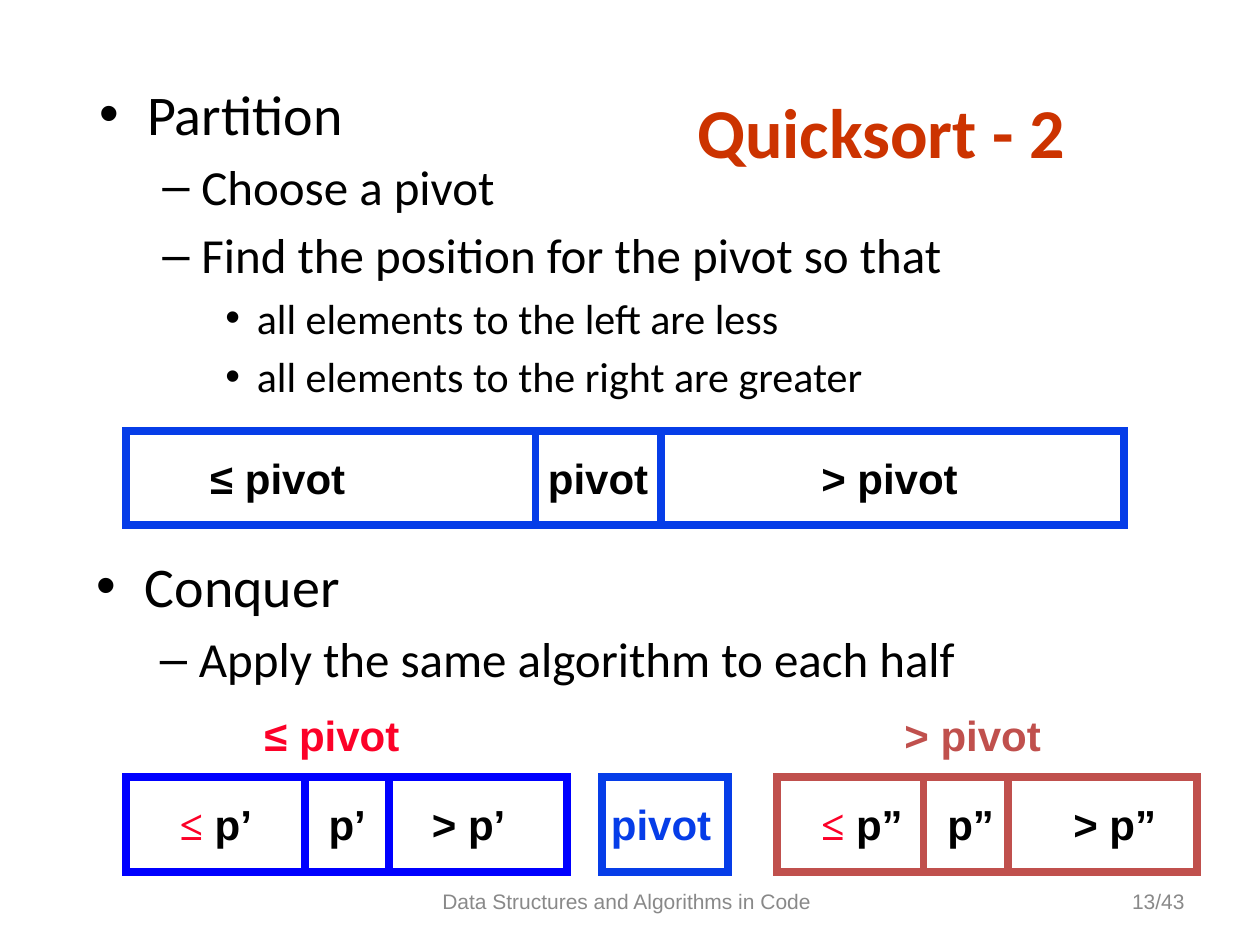
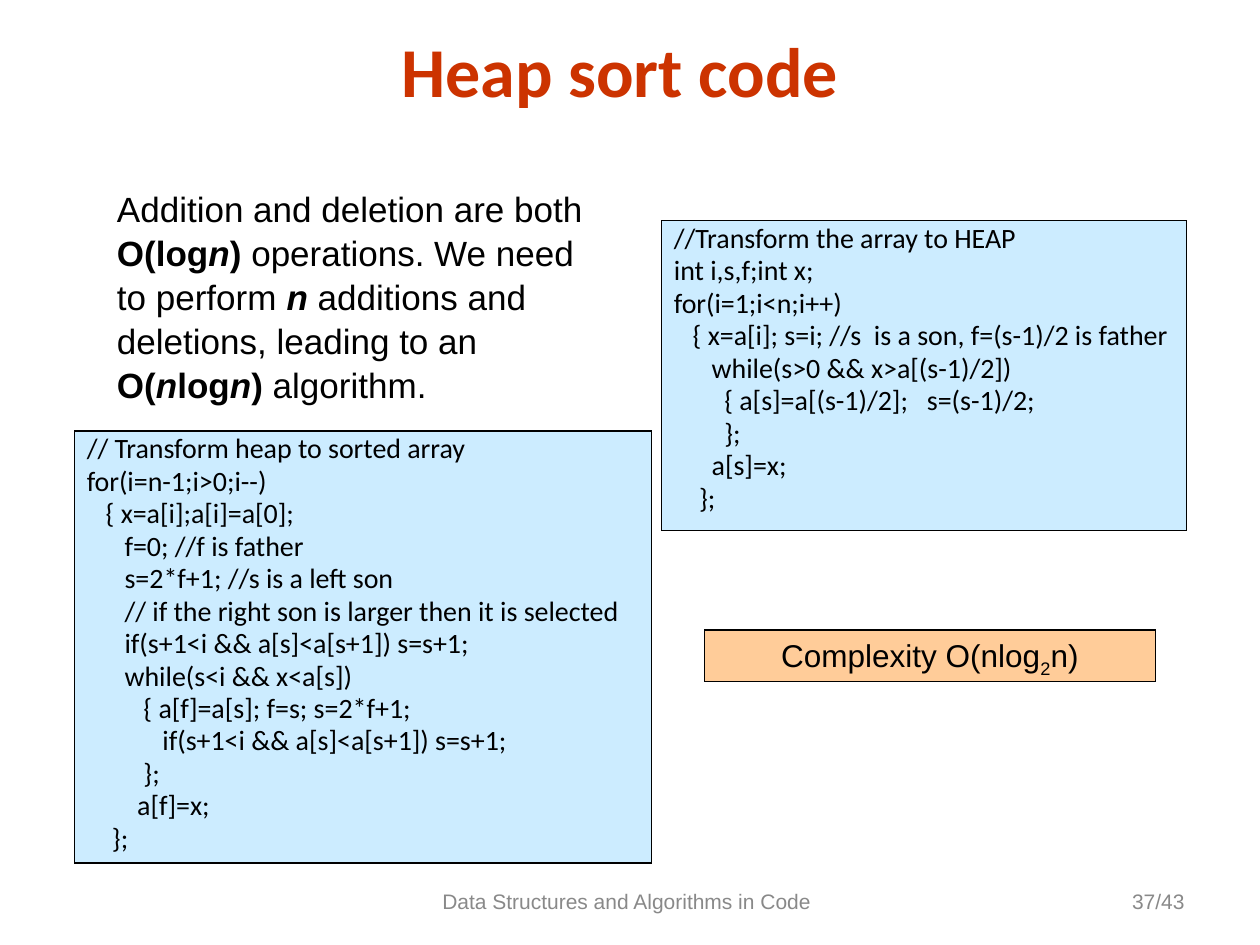
from lxml import etree
from pptx import Presentation, util as u
from pptx.dml.color import RGBColor
from pptx.enum import shapes, text
from pptx.oxml.ns import qn

HUES = {
    "ink": "000000", "title": "CC3300", "foot": "898989", "blue": "063DE8",
    "deep": "0000FF", "brick": "C0504D", "red": "FC0128",
    "code": "CCECFF", "peach": "FFCC99",
}
LEFT, MID, RIGHT = text.PP_ALIGN.LEFT, text.PP_ALIGN.CENTER, text.PP_ALIGN.RIGHT
GAP = 0.2  # space before a paragraph, as a share of its font size
LEVELS = [  # size, left margin, hanging indent, bullet
    (32, 0.38, 0.38, "•"),
    (28, 0.81, 0.31, "–"),
    (24, 1.25, 0.25, "•"),
]
BAR = 0.75  # height of an array bar


def hue(name):
    return RGBColor.from_string(HUES[name])


class Deck:
    def __init__(self):
        self.prs = Presentation()
        self.prs.slide_width, self.prs.slide_height = u.Inches(10), u.Inches(7.5)
        self.slide = None

    def page(self, title, place, number):
        """Start a slide with its title and footer."""
        self.slide = self.prs.slides.add_slide(self.prs.slide_layouts[6])
        self.label(place, title, 40, "title", "Calibri", True, MID, middle=True)
        self.label((3.14, 6.95, 3.67, 0.4), "Data Structures and Algorithms in Code",
                   12, "foot", align=MID, middle=True)
        self.label((7.17, 6.95, 2.33, 0.4), f"{number}/43", 12, "foot",
                   align=RIGHT, middle=True)

    def frame(self, place, middle=False):
        box = self.slide.shapes.add_textbox(*map(u.Inches, place))
        box.text_frame.word_wrap = True
        if middle:
            box.text_frame.vertical_anchor = text.MSO_ANCHOR.MIDDLE
        return box.text_frame

    def style(self, para, size, color="ink", face="Arial", bold=False, align=LEFT):
        para.alignment = align
        font = para.font
        font.size, font.name, font.bold = u.Pt(size), face, bold
        font.color.rgb = hue(color)

    def label(self, place, words, size, color="ink", face="Arial", bold=False,
              align=LEFT, middle=False):
        para = self.frame(place, middle).paragraphs[0]
        para.text = words
        self.style(para, size, color, face, bold, align)
        return para

    def tag(self, x, y, width, words, color="ink"):
        """Bold caption of an array part."""
        return self.label((x, y, width, 0.5), words, 24, color, bold=True)

    def most(self, x, y, width, words):
        """Caption led by a red sign."""
        para = self.tag(x, y, width, "≤")
        sign = para.runs[0].font
        sign.name, sign.color.rgb = "Times New Roman", hue("red")
        para.add_run().text = words

    def rect(self, place, line, width, fill=None):
        box = self.slide.shapes.add_shape(
            shapes.MSO_SHAPE.RECTANGLE, *map(u.Inches, place))
        box.shadow.inherit = False
        if fill:
            box.fill.solid()
            box.fill.fore_color.rgb = hue(fill)
        else:
            box.fill.background()
        box.line.color.rgb, box.line.width = hue(line), u.Pt(width)
        miter = etree.SubElement(box.line._ln, qn("a:miter"))
        miter.set("lim", "800000")
        frame = box.text_frame
        frame.word_wrap, frame.vertical_anchor = True, text.MSO_ANCHOR.TOP
        return frame

    def bar(self, x, y, width, line):
        self.rect((x, y, width, BAR), line, 4.5)

    def paras(self, frame, lines):
        """Yield a paragraph for each line."""
        for i, line in enumerate(lines):
            yield i, frame.add_paragraph() if i else frame.paragraphs[0], line

    def points(self, place, items):
        """Bulleted list of (level, words)."""
        for i, para, (level, words) in self.paras(self.frame(place), items):
            size, left, hang, mark = LEVELS[level]
            props = para._p.get_or_add_pPr()
            props.set("marL", str(u.Inches(left)))
            props.set("indent", str(-u.Inches(hang)))
            if i:
                para.space_before = u.Pt(size * GAP)
            etree.SubElement(props, qn("a:buFont")).set("typeface", "Arial")
            etree.SubElement(props, qn("a:buChar")).set("char", mark)
            para.text = words
            self.style(para, size, face="Calibri")

    def code(self, place, lines):
        frame = self.rect(place, "ink", 0.75, "code")
        for i, para, line in self.paras(frame, lines.strip("\n").split("\n")):
            para.text = line
            para.line_spacing = 0.8
            if i:
                para.space_before = u.Pt(16 * GAP)
            self.style(para, 16, face="Calibri")


BUILD = """
//Transform the array to HEAP
int i,s,f;int x;
for(i=1;i<n;i++)
   { x=a[i]; s=i; //s  is a son, f=(s-1)/2 is father
      while(s>0 && x>a[(s-1)/2])
        { a[s]=a[(s-1)/2];   s=(s-1)/2;
        };
      a[s]=x;
    };
"""
SORT = """
// Transform heap to sorted array
for(i=n-1;i>0;i--)
   { x=a[i];a[i]=a[0];
      f=0; //f is father
      s=2*f+1; //s is a left son
      // if the right son is larger then it is selected
      if(s+1<i && a[s]<a[s+1]) s=s+1;
      while(s<i && x<a[s])
         { a[f]=a[s]; f=s; s=2*f+1;
            if(s+1<i && a[s]<a[s+1]) s=s+1;
         };
        a[f]=x;
    };
"""


def quick(deck):
    deck.page("Quicksort - 2", (4.83, 0.65, 4.33, 0.77), 13)

    # Partition
    deck.points((0.69, 0.58, 8.58, 2.71), [
        (0, "Partition"),
        (1, "Choose a pivot"),
        (1, "Find the position for the pivot so that"),
        (2, "all elements to the left are less"),
        (2, "all elements to the right are greater"),
    ])
    for x, width in [(1, 7.92), (4.25, 1)]:
        deck.bar(x, 3.42, width, "blue")
    for x, width, words in [(1.57, 1.4, "≤ pivot"), (4.25, 1.05, "pivot"),
                            (6.42, 1.4, "> pivot")]:
        deck.tag(x, 3.54, width, words)

    # Conquer
    deck.points((0.67, 4.33, 8.58, 1.19), [
        (0, "Conquer"),
        (1, "Apply the same algorithm to each half"),
    ])
    deck.tag(2, 5.58, 1.4, "≤ pivot", "red")
    deck.tag(7.08, 5.58, 1.4, "> pivot", "brick")
    for x, width, line in [(1, 3.5, "deep"), (2.42, 0.67, "deep"), (4.78, 1, "blue"),
                           (6.17, 3.33, "brick"), (7.33, 0.67, "brick")]:
        deck.bar(x, 6.17, width, line)
    deck.tag(4.75, 6.29, 1.05, "pivot", "blue")
    for mark, less, same, more in [("p’", 1.33, 2.51, 3.33), ("p”", 6.42, 7.42, 8.42)]:
        deck.most(less, 6.29, 0.95, f" {mark}")
        deck.tag(same, 6.29, 0.7, mark)
        deck.tag(more, 6.29, 0.95, f"> {mark}")


def heap(deck):
    deck.page("Heap sort code", (0.67, 0.17, 8.5, 0.77), 37)

    # Cost in words: b is bold, i is italic
    para = deck.label((0.83, 1.42, 4.08, 1.85), "", 20)
    para.line_spacing = 1.05
    for words, look in [
        ("Addition and deletion are both ", ""), ("O(log", "b"), ("n", "bi"), (")", "b"),
        (" operations. We need to perform ", ""), ("n", "bi"),
        (" additions and deletions, leading to an ", ""),
        ("O(", "b"), ("n", "bi"), ("log", "b"), ("n", "bi"), (")", "b"),
        (" algorithm.", ""),
    ]:
        run = para.add_run()
        run.text = words
        run.font.bold, run.font.italic = "b" in look, "i" in look

    # Code
    deck.code((0.59, 3.42, 4.58, 3.43), SORT)
    deck.code((5.25, 1.75, 4.17, 2.46), BUILD)

    # Complexity
    para = deck.rect((5.59, 5, 3.58, 0.41), "ink", 0.75, "peach").paragraphs[0]
    for words in ["Complexity O(nlog", "2", "n)"]:
        run = para.add_run()
        run.text = words
        if words == "2":
            run.font._element.set("baseline", "-25000")
    deck.style(para, 18, align=MID)


def main():
    deck = Deck()
    quick(deck)
    heap(deck)
    deck.prs.save("out.pptx")


if __name__ == "__main__":
    main()
